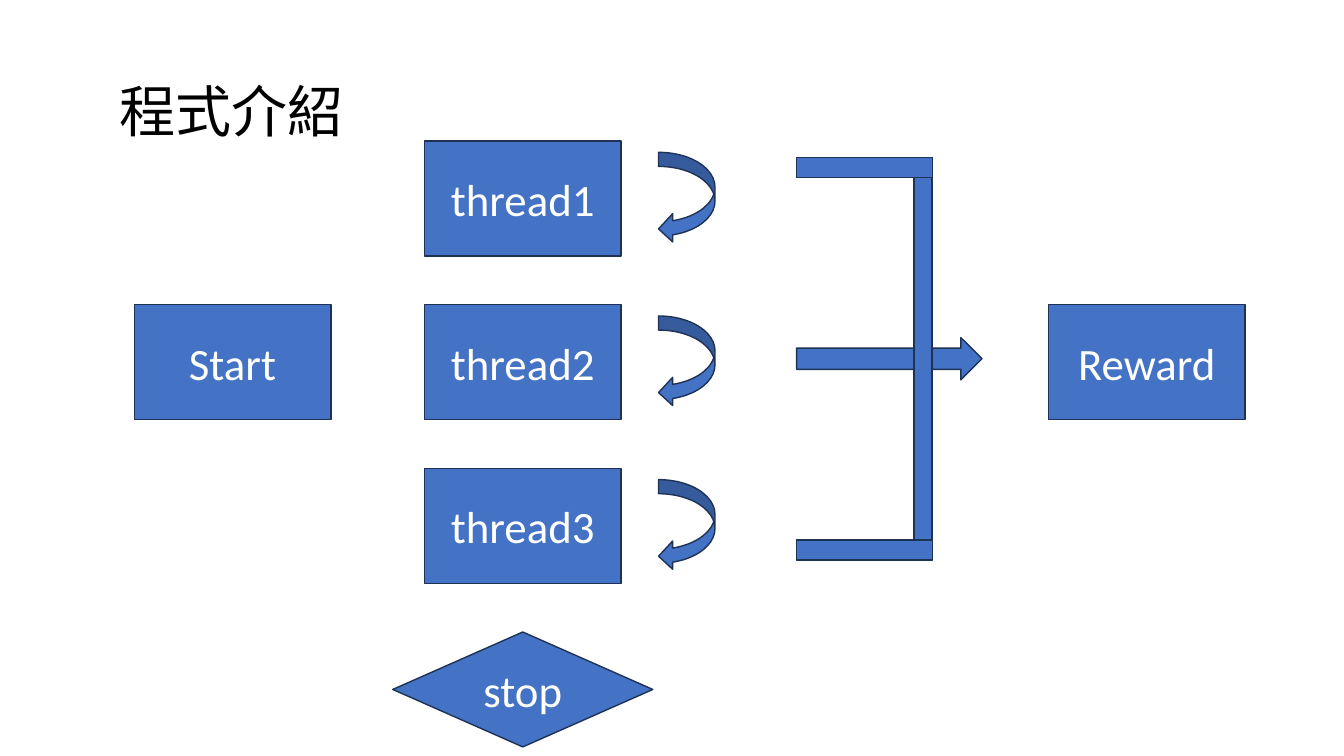
from dataclasses import dataclass

from lxml import etree
from pptx import Presentation
from pptx import util as u
from pptx.dml.color import RGBColor
from pptx.enum import shapes, text
from pptx.oxml.ns import qn

WIDTH, HEIGHT = u.Inches(13.33), u.Inches(7.5)
M = shapes.MSO_SHAPE
FILL, EDGE, WHITE, BLACK = "4472C4", "1E3256", "FFFFFF", "000000"
ROWS = [26.25 + 21.65 * i for i in range(4)]
MERGE_Y, MERGE_HALF = 47.45, 25.3


@dataclass
class Box:
    """A rectangle given by its centre and size, in percent of the slide."""
    x: float
    y: float
    w: float
    h: float

    def emu(self) -> tuple[int, int, int, int]:
        return (int(WIDTH * (self.x - self.w / 2) / 100),
                int(HEIGHT * (self.y - self.h / 2) / 100),
                int(WIDTH * self.w / 100), int(HEIGHT * self.h / 100))


@dataclass
class Node:
    preset: M
    box: Box
    label: str = ""


def rgb(value: str) -> RGBColor:
    return RGBColor.from_string(value)


def write(tf, label: str, size: int, font: str, color: str) -> None:
    p = tf.paragraphs[0]
    p.text = label
    p.alignment = text.PP_ALIGN.CENTER
    p.font.size = u.Pt(size)
    p.font.color.rgb = rgb(color)
    p.font.name = font
    props = p._p.pPr.find(qn("a:defRPr"))
    etree.SubElement(props, qn("a:ea"), typeface=font)


def draw_title(s, label: str, box: Box) -> None:
    tf = s.shapes.add_textbox(*box.emu()).text_frame
    tf.word_wrap = True
    write(tf, label, 40, "Noto Sans CJK SC", BLACK)


def draw_node(s, node: Node) -> None:
    sp = s.shapes.add_shape(node.preset, *node.box.emu())
    sp.shadow.inherit = False
    sp.fill.solid()
    sp.fill.fore_color.rgb = rgb(FILL)
    sp.line.color.rgb = rgb(EDGE)
    sp.line.width = u.Pt(1)
    if node.label:
        sp.text_frame.vertical_anchor = text.MSO_ANCHOR.MIDDLE
        write(sp.text_frame, node.label, 32, "Calibri", WHITE)


def process(label: str, x: float, y: float) -> Node:
    return Node(M.FLOWCHART_PROCESS, Box(x, y, 14.63, 15.2), label)


def flow() -> list[Node]:
    threads = [process(f"thread{i}", 38.9, y) for i, y in enumerate(ROWS[:3], 1)]
    loops = [Node(M.CURVED_LEFT_ARROW, Box(51.1, y - 0.1, 4.2, 12)) for y in ROWS[:3]]
    bars = [Node(M.RECTANGLE, Box(64.33, MERGE_Y + dy, 10.13, 2.67))
            for dy in (MERGE_HALF, -MERGE_HALF)]
    return [
        process("Start", 17.3, ROWS[1]),
        *threads,
        *loops,
        Node(M.FLOWCHART_DECISION, Box(38.9, ROWS[3], 19.35, 15.2), "stop"),
        process("Reward", 85.33, ROWS[1]),
        Node(M.RIGHT_ARROW, Box(66.17, MERGE_Y, 13.8, 5.6)),
        Node(M.RECTANGLE, Box(68.68, MERGE_Y, 1.35, 53.2)),
        *bars,
    ]


def main() -> None:
    prs = Presentation()
    prs.slide_width, prs.slide_height = WIDTH, HEIGHT
    s = prs.slides.add_slide(prs.slide_layouts[6])
    draw_title(s, "程式介紹", Box(17.25, 14.6, 34.5, 10.27))
    for node in flow():
        draw_node(s, node)
    prs.save("out.pptx")


if __name__ == "__main__":
    main()
